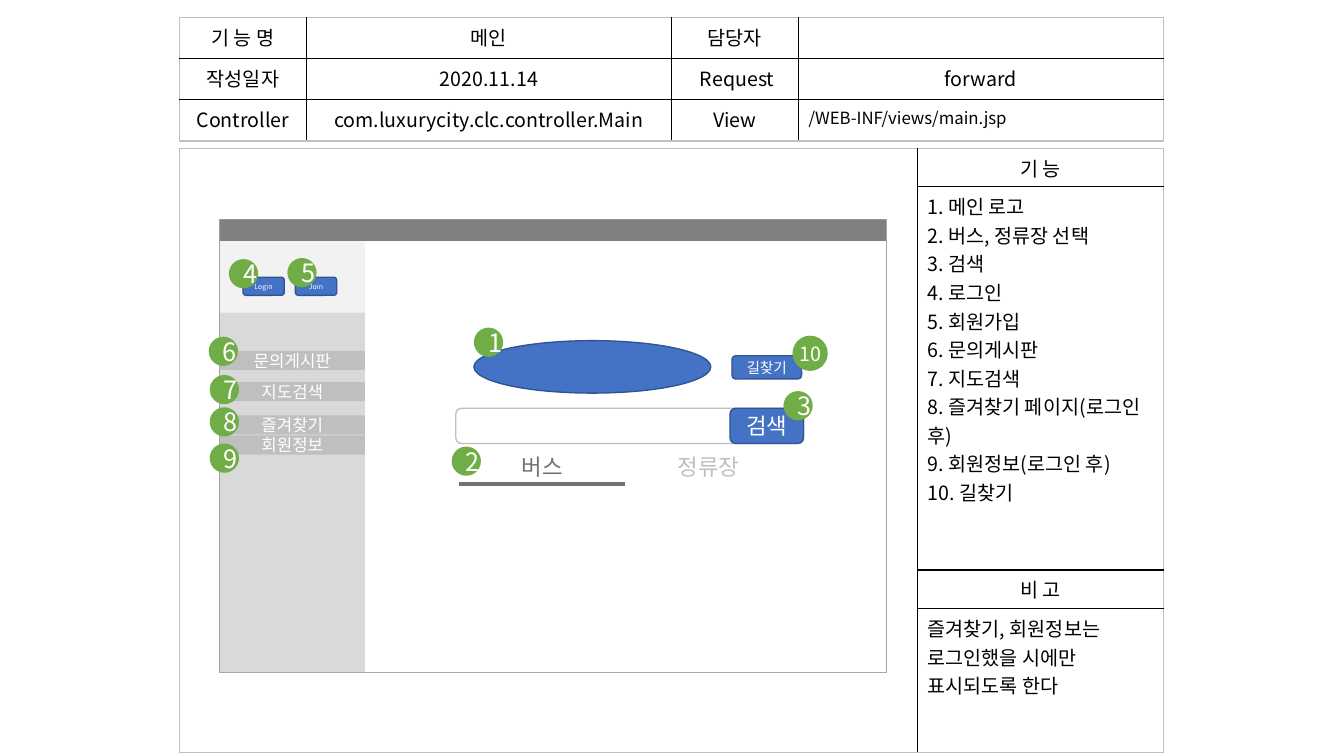
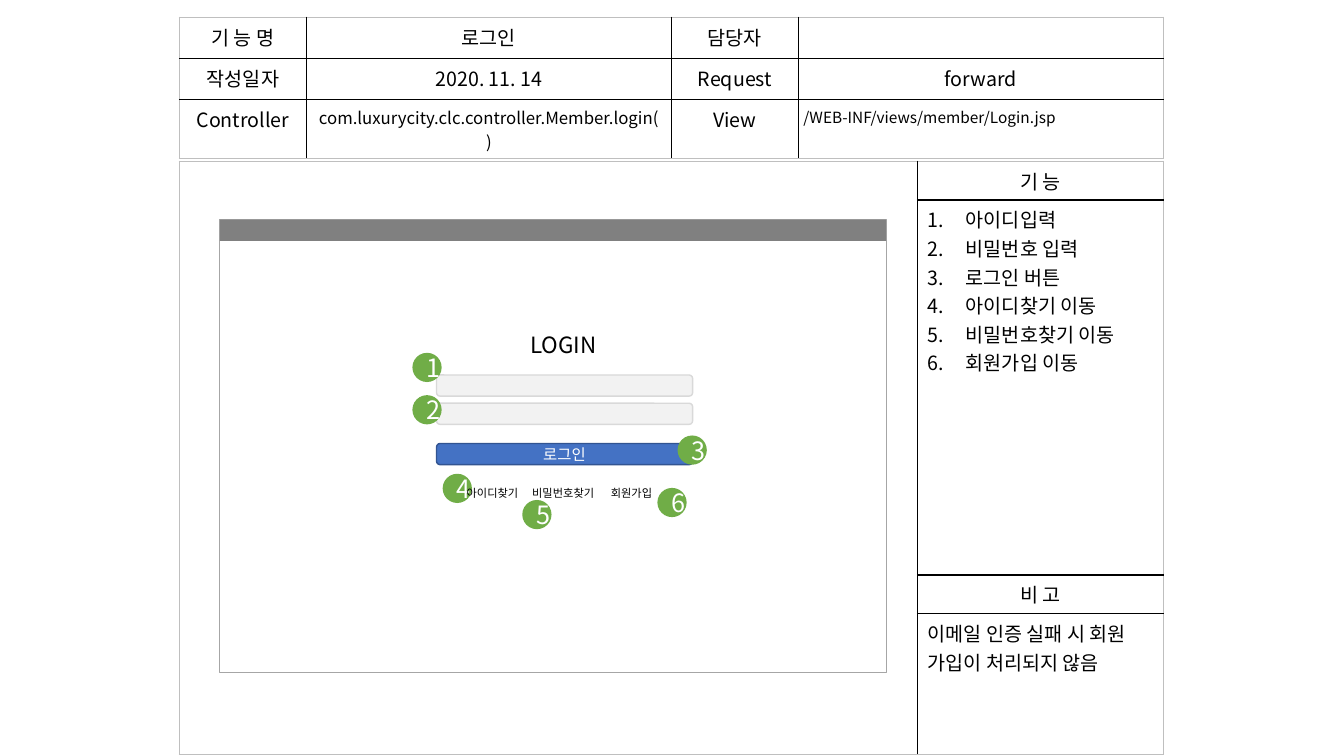
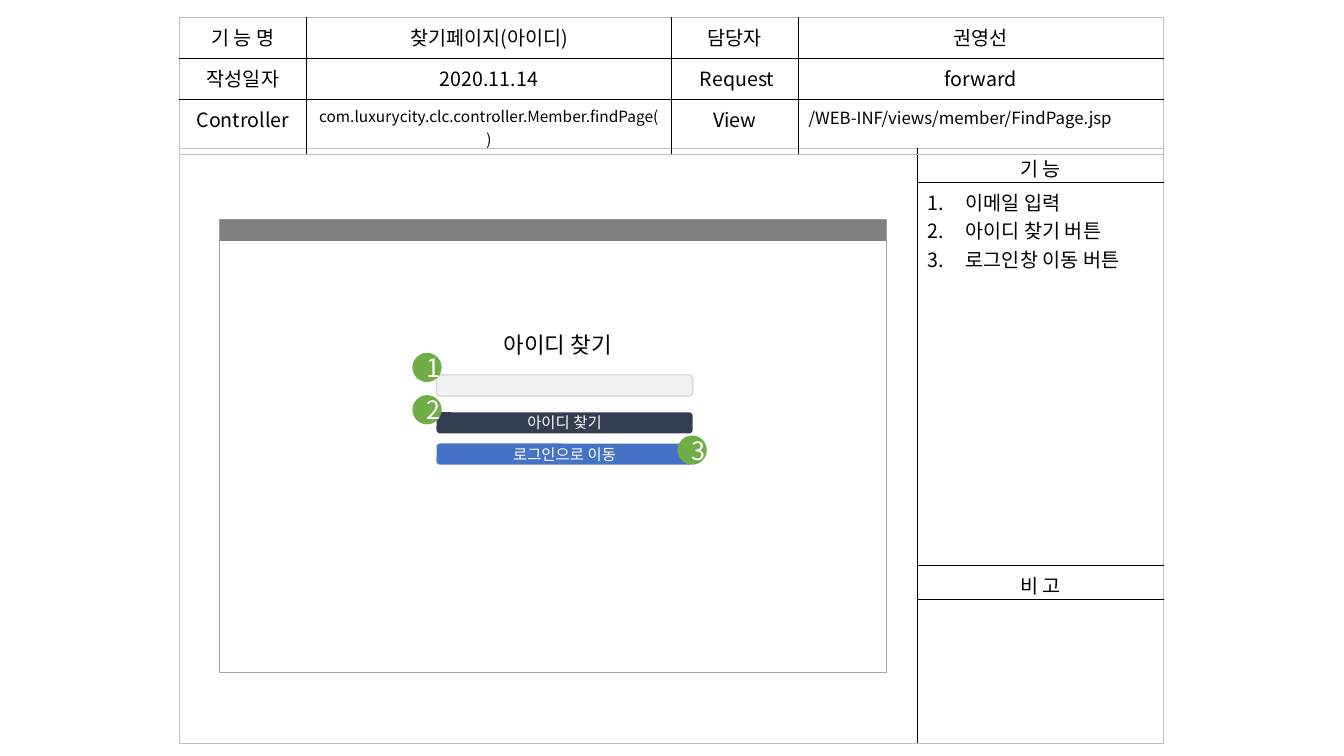
from lxml import etree
from pptx import Presentation
from pptx.dml.color import RGBColor
from pptx.enum.shapes import MSO_CONNECTOR, MSO_SHAPE
from pptx.enum.text import MSO_ANCHOR, MSO_AUTO_SIZE, PP_ALIGN
from pptx.oxml.ns import qn
from pptx.util import Inches, Pt

RECT = MSO_SHAPE.RECTANGLE
ROUNDED = MSO_SHAPE.ROUNDED_RECTANGLE
OVAL = MSO_SHAPE.OVAL
STRAIGHT = MSO_CONNECTOR.STRAIGHT
MIDDLE = MSO_ANCHOR.MIDDLE
GROW = MSO_AUTO_SIZE.SHAPE_TO_FIT_TEXT
LEFT, CENTER = PP_ALIGN.LEFT, PP_ALIGN.CENTER

FONT = "Noto Sans CJK KR"
BLACK = RGBColor(0x00, 0x00, 0x00)
WHITE = RGBColor(0xFF, 0xFF, 0xFF)
BLUE = RGBColor(0x44, 0x72, 0xC4)
DARK_BLUE = RGBColor(0x32, 0x54, 0x91)
NAVY = RGBColor(0x33, 0x3F, 0x50)
GREEN = RGBColor(0x70, 0xAD, 0x47)
BAR_GRAY = RGBColor(0x80, 0x80, 0x80)
TAB_GRAY = RGBColor(0x76, 0x71, 0x71)
FRAME_GRAY = RGBColor(0xA6, 0xA6, 0xA6)
SILVER = RGBColor(0xBF, 0xBF, 0xBF)
LIGHT_GRAY = RGBColor(0xD9, 0xD9, 0xD9)
PALE_GRAY = RGBColor(0xF2, 0xF2, 0xF2)

# Shared places, in inches
TABLE_LEFT, TABLE_WIDTH = 1.78, 9.76
FRAME_LEFT, FRAME_TOP, FRAME_WIDTH, FRAME_HEIGHT = 2.18, 2.18, 6.61, 4.49
SIDEBAR_WIDTH = 1.44
FIELD_LEFT, FIELD_WIDTH, FIELD_HEIGHT = 4.33, 2.54, 0.21


# Text
def style(para, size, color=BLACK, align=LEFT):
    para.alignment = align
    para.font.size = Pt(size)
    para.font.name = FONT
    para.font.color.rgb = color
    defaults = para._p.pPr.find(qn("a:defRPr"))
    etree.SubElement(defaults, qn("a:ea"), typeface=FONT)


def number(para):
    """Give a paragraph an automatic number with a hanging indent."""
    props = para._p.get_or_add_pPr()
    props.set("marL", str(Inches(0.38)))
    props.set("indent", str(-Inches(0.38)))
    bullet = etree.Element(qn("a:buAutoNum"), type="arabicPeriod")
    props.insert(0, bullet)


def write(frame, lines, size, color=BLACK, align=LEFT, numbered=False):
    for index, line in enumerate(lines):
        para = frame.add_paragraph() if index else frame.paragraphs[0]
        para.text = line
        style(para, size, color, align)
        if numbered:
            number(para)


def add_label(page, text, left, top, width, height, size, color=BLACK, centered=False):
    box = page.shapes.add_textbox(Inches(left), Inches(top), Inches(width), Inches(height))
    frame = box.text_frame
    frame.word_wrap = centered
    if centered:
        frame.vertical_anchor = MIDDLE
    else:
        frame.auto_size = GROW
    write(frame, [text], size, color, CENTER if centered else LEFT)


# Shapes
def add_box(page, kind, left, top, width, height, fill=None, line=None, text="", size=11):
    box = page.shapes.add_shape(kind, Inches(left), Inches(top), Inches(width), Inches(height))
    box.shadow.inherit = False
    if fill is None:
        box.fill.background()
    else:
        box.fill.solid()
        box.fill.fore_color.rgb = fill
    if line is None:
        box.line.fill.background()
    else:
        box.line.color.rgb = line
        box.line.width = Pt(1)
    if text:
        box.text_frame.vertical_anchor = MIDDLE
        write(box.text_frame, [text], size, WHITE, CENTER)
    return box


def add_button(page, text, left, top, width, height, size):
    add_box(page, ROUNDED, left, top, width, height, BLUE, DARK_BLUE, text, size)


def add_field(page, top, fill=PALE_GRAY, line=None, text=""):
    add_box(page, ROUNDED, FIELD_LEFT, top, FIELD_WIDTH, FIELD_HEIGHT, fill, line, text)


def add_badge(page, text, left, top, size=0.29, points=18):
    return add_box(page, OVAL, left, top, size, size, GREEN, None, text, points)


def add_badges(page, places):
    for text, left, top in places:
        add_badge(page, text, left, top)


def add_underline(page, left, right, y):
    line = page.shapes.add_connector(STRAIGHT, Inches(left), Inches(y), Inches(right), Inches(y))
    line.line.color.rgb = TAB_GRAY
    line.line.width = Pt(3)
    etree.SubElement(line._element.spPr, qn("a:effectLst"))


def add_frame(page):
    add_box(page, RECT, FRAME_LEFT, FRAME_TOP, FRAME_WIDTH, FRAME_HEIGHT, line=FRAME_GRAY)


def add_title_bar(page):
    add_box(page, RECT, FRAME_LEFT, FRAME_TOP, FRAME_WIDTH, 0.21, BAR_GRAY)


# Tables
def set_borders(cell, outer_sides):
    """Draw silver lines on the table's outside and black lines inside."""
    props = cell._tc.get_or_add_tcPr()
    for side in "LRTB":
        line = etree.SubElement(props, qn("a:ln" + side), w=str(Pt(1)))
        fill = etree.SubElement(line, qn("a:solidFill"))
        color = SILVER if side in outer_sides else BLACK
        etree.SubElement(fill, qn("a:srgbClr"), val=str(color))


def add_grid(page, top, widths, heights):
    shape = page.shapes.add_table(len(heights), len(widths), Inches(TABLE_LEFT), Inches(top),
                                  Inches(TABLE_WIDTH), Inches(sum(heights)))
    table = shape.table
    table.first_row = table.horz_banding = False
    for column, width in zip(table.columns, widths):
        column.width = Inches(width)
    for row, height in zip(table.rows, heights):
        row.height = Inches(height)
    return table


def finish_cell(cell, outer_sides):
    set_borders(cell, outer_sides)
    cell.fill.background()


def add_header(page, name, owner, date, request, controller, view, sizes=(14, 12)):
    rows = [("기 능 명", name, "담당자", owner),
            ("작성일자", date, request, "forward"),
            ("Controller", controller, "View", view)]
    table = add_grid(page, 0.17, [1.26, 3.62] * 2, [0.41] * 3)
    for r, texts in enumerate(rows):
        for c, text in enumerate(texts):
            cell = table.cell(r, c)
            size, align = 14, CENTER
            if r == 2 and c == 1:
                size = sizes[0]
            elif r == 2 and c == 3:
                size, align = sizes[1], LEFT
            write(cell.text_frame, [text], size, align=align)
            finish_cell(cell, "T" * (r == 0) + "B" * (r == 2) + "L" * (c == 0) + "R" * (c == 3))


def add_description(page, features, notes, top=1.47, heights=(0.34, 3.8, 0.34, 1.43),
                    numbered=True, tight=False):
    table = add_grid(page, top, [7.32, 2.44], heights)
    blocks = [["기 능"], features, ["비 고"], [notes]]
    for r, lines in enumerate(blocks):
        screen, cell = table.cell(r, 0), table.cell(r, 1)
        heading = r % 2 == 0
        write(screen.text_frame, [""], 14)
        write(cell.text_frame, lines, 14, align=CENTER if heading else LEFT,
              numbered=numbered and r == 1)
        if tight and heading:
            cell.margin_bottom = 0
        finish_cell(screen, "LTB")
        finish_cell(cell, "R" + "T" * (r == 0) + "B" * (r == 3))
    table.cell(0, 0).merge(table.cell(3, 0))


# Slides
def build_main_page(page):
    features = ["메인 로고", "버스, 정류장 선택", "검색", "로그인", "회원가입", "문의게시판",
                "지도검색", "즐겨찾기 페이지(로그인 후)", "회원정보(로그인 후)", "길찾기"]
    add_description(page, [f"{n}. {text}" for n, text in enumerate(features, 1)],
                    "즐겨찾기, 회원정보는 로그인했을 시에만 표시되도록 한다", numbered=False)
    add_header(page, "메인", "", "2020.11.14", " Request",
               "com.luxurycity.clc.controller.Main", "/WEB-INF/views/main.jsp")

    # Sidebar, search field and tabs
    add_box(page, RECT, FRAME_LEFT, 3.1, SIDEBAR_WIDTH, 3.57, LIGHT_GRAY)
    add_box(page, RECT, FRAME_LEFT, FRAME_TOP, SIDEBAR_WIDTH, 0.92, PALE_GRAY)
    add_box(page, ROUNDED, 4.52, 4.05, 3.45, 0.35, line=SILVER)
    add_label(page, "버스", 4.55, 4.51, 1.66, 0.23, 16, TAB_GRAY, centered=True)
    add_label(page, "정류장", 6.2, 4.51, 1.66, 0.23, 16, SILVER, centered=True)
    add_underline(page, 4.55, 6.2, 4.8)
    add_frame(page)
    add_badge(page, "2", 4.48, 4.43)
    add_title_bar(page)

    # Buttons, menu and logo
    add_button(page, "Login", 2.41, 2.75, 0.41, 0.18, 5)
    add_button(page, "Join", 2.93, 2.75, 0.41, 0.18, 5)
    add_button(page, "검색", 7.24, 4.05, 0.73, 0.35, 16)
    menu = [("문의게시판", 3.48), ("지도검색", 3.79), ("즐겨찾기", 4.12), ("회원정보", 4.32)]
    for text, top in menu:
        add_box(page, RECT, FRAME_LEFT, top, SIDEBAR_WIDTH, 0.19, SILVER, None, text, 12)
    add_box(page, OVAL, 4.7, 3.38, 2.35, 0.52, BLUE, DARK_BLUE)
    add_button(page, "길찾기", 7.26, 3.53, 0.69, 0.23, 10.5)

    add_badges(page, [("1", 4.7, 3.25), ("3", 7.77, 3.88), ("4", 2.27, 2.57), ("5", 2.85, 2.56),
                      ("6", 2.07, 3.34), ("7", 2.08, 3.72), ("8", 2.08, 4.04), ("9", 2.08, 4.4)])
    ten = add_badge(page, "10", 7.86, 3.33, 0.35, 14)
    ten.text_frame.margin_left = ten.text_frame.margin_right = 0


def build_login_page(page):
    add_description(page, ["아이디입력", "비밀번호 입력", "로그인 버튼", "아이디찾기 이동",
                           "비밀번호찾기 이동", "회원가입 이동"],
                    "이메일 인증 실패 시 회원 가입이 처리되지 않음",
                    top=1.6, heights=(0.33, 3.72, 0.33, 1.4))
    add_header(page, "로그인", "", "2020. 11. 14", "Request",
               "com.luxurycity.clc.controller.Member.login()", "", sizes=(12, 14))
    add_label(page, "/WEB-INF/views/member/Login.jsp", 7.87, 1.02, 3.79, 0.29, 11)

    # Login form
    add_frame(page)
    add_title_bar(page)
    for top in (3.72, 4):
        add_field(page, top, line=LIGHT_GRAY)
    add_field(page, 4.4, BLUE, DARK_BLUE, "로그인")
    add_badges(page, [("1", 4.09, 3.5), ("2", 4.09, 3.92), ("3", 6.72, 4.32),
                      ("4", 4.39, 4.7), ("5", 5.18, 4.96)])
    add_label(page, "LOGIN", 5.16, 3.24, 0.87, 0.37, 16)
    for text, left, width in [("아이디찾기", 4.53, 0.76), ("비밀번호찾기", 5.18, 0.88),
                              ("회원가입", 5.96, 0.65)]:
        add_label(page, text, left, 4.78, width, 0.24, 8)
    add_badge(page, "6", 6.52, 4.84)


def build_find_page(page):
    add_description(page, ["이메일 입력", "아이디 찾기 버튼", "로그인창 이동 버튼"], "", tight=True)
    add_header(page, "찾기페이지(아이디)", "권영선", "2020.11.14", " Request",
               "com.luxurycity.clc.controller.Member.findPage()",
               "/WEB-INF/views/member/FindPage.jsp", sizes=(11, 12))

    # Search form
    add_frame(page)
    add_title_bar(page)
    add_field(page, 3.72, line=LIGHT_GRAY)
    add_field(page, 4.09, NAVY, text="아이디 찾기")
    add_field(page, 4.4, BLUE, text="로그인으로 이동")
    add_badges(page, [("1", 4.09, 3.5), ("2", 4.09, 3.92), ("3", 6.72, 4.32)])
    add_label(page, "아이디 찾기", 4.9, 3.24, 1.4, 0.37, 16)


def main():
    deck = Presentation()
    deck.slide_width, deck.slide_height = Inches(13.33), Inches(7.5)
    blank = deck.slide_layouts[6]
    for build in (build_main_page, build_login_page, build_find_page):
        build(deck.slides.add_slide(blank))
    deck.save("out.pptx")


if __name__ == "__main__":
    main()
